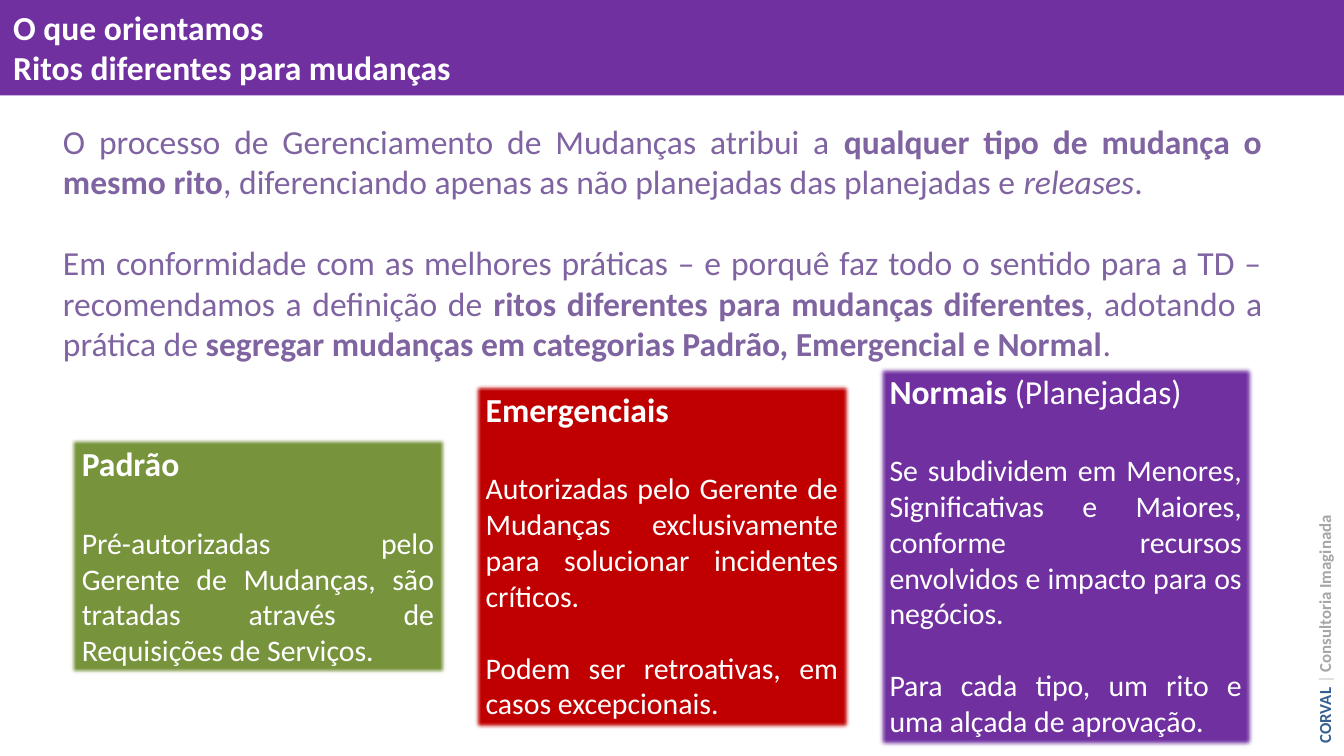
import lxml.etree
import pptx
import pptx.dml.color
import pptx.enum.shapes
import pptx.enum.text
import pptx.oxml.ns
import pptx.util

RGBColor = pptx.dml.color.RGBColor
WHITE = RGBColor(0xFF, 0xFF, 0xFF)
PURPLE = RGBColor(0x70, 0x30, 0xA0)
LILAC = RGBColor(0x80, 0x64, 0xA2)
GREEN = RGBColor(0x77, 0x93, 0x3C)
RED = RGBColor(0xC0, 0x00, 0x00)
NAVY = RGBColor(0x37, 0x60, 0x92)
PALE_GRAY = RGBColor(0xD9, 0xD9, 0xD9)
GRAY = RGBColor(0xA6, 0xA6, 0xA6)

WIDTH = 10
HEIGHT = WIDTH * 9 / 16
FONT = "Calibri"
LINE = 1.21
CARD_LEFT, CARD_STEP, CARD_WIDTH, CARD_MIDDLE = 0.51, 3.005, 2.82, 4.14
SOFT_EDGE = pptx.util.Pt(2.5)
JUSTIFY = pptx.enum.text.PP_ALIGN.JUSTIFY
LEFT = pptx.enum.text.PP_ALIGN.LEFT

CARDS = [
    (GREEN, 1.78, [("Padrão", "b")],
     ["Pré-autorizadas pelo Gerente de Mudanças, são tratadas através de "
      "Requisições de Serviços."]),
    (RED, 2.59, [("Emergenciais", "b")],
     ["Autorizadas pelo Gerente de Mudanças exclusivamente para solucionar "
      "incidentes críticos. ",
      "Podem ser retroativas, em casos excepcionais."]),
    (PURPLE, 2.86, [("Normais", "b"), (" (Planejadas)", "")],
     ["Se subdividem em Menores, Significativas e Maiores, conforme recursos "
      "envolvidos e impacto para os negócios.",
      "Para cada tipo, um rito e uma alçada de aprovação."]),
]

INTRO = [
    [("O processo de Gerenciamento de Mudanças atribui a ", ""),
     ("qualquer tipo de mudança o mesmo rito", "b"),
     (", diferenciando apenas as não planejadas das planejadas e ", ""),
     ("releases", "i"), (".", "")],
    [("Em conformidade com as melhores práticas – e porquê faz todo o sentido "
      "para a TD – recomendamos a definição de ", ""),
     ("ritos diferentes para mudanças diferentes", "b"),
     (", adotando a prática de ", ""),
     ("segregar mudanças em categorias Padrão, Emergencial e Normal", "b"),
     (".", "")],
]


def inches(*lengths):
    return [pptx.util.Inches(length) for length in lengths]


def prepare_frame(frame, anchor):
    frame.word_wrap = True
    frame.auto_size = pptx.enum.text.MSO_AUTO_SIZE.SHAPE_TO_FIT_TEXT
    frame.vertical_anchor = anchor
    return frame


def add_text(slide, left, top, width, height):
    return slide.shapes.add_textbox(*inches(left, top, width, height))


def add_block(slide, left, top, width, height, fill):
    block = slide.shapes.add_shape(
        pptx.enum.shapes.MSO_SHAPE.RECTANGLE, *inches(left, top, width, height))
    block.shadow.inherit = False
    block.fill.solid()
    block.fill.fore_color.rgb = fill
    block.line.fill.background()
    return block


def soften_edges(block):
    qn = pptx.oxml.ns.qn
    effects = block._element.spPr.find(qn("a:effectLst"))
    lxml.etree.SubElement(effects, qn("a:softEdge"), rad=str(int(SOFT_EDGE)))


def write_paragraph(frame, index, pieces, size, color, align=LEFT, gap=0):
    paragraph = frame.paragraphs[0] if index == 0 else frame.add_paragraph()
    paragraph.alignment = align
    if gap:
        paragraph.space_before = pptx.util.Pt(gap)
    for words, style, *own_color in pieces:
        run = paragraph.add_run()
        run.text = words
        run.font.name = FONT
        run.font.size = pptx.util.Pt(size)
        run.font.bold = "b" in style
        run.font.italic = "i" in style
        run.font.color.rgb = own_color[0] if own_color else color


def add_header(slide):
    header = add_block(slide, 0, 0, WIDTH, 0.71, PURPLE)
    frame = prepare_frame(header.text_frame, pptx.enum.text.MSO_ANCHOR.TOP)
    for index, title in enumerate(["O que orientamos", "Ritos diferentes para mudanças"]):
        write_paragraph(frame, index, [(title, "b")], 18, WHITE)


def add_signature(slide):
    signature = add_text(slide, 8.89, 4.54, 1.93, 0.25)
    signature.rotation = 270
    frame = prepare_frame(signature.text_frame, pptx.enum.text.MSO_ANCHOR.TOP)
    pieces = [("CORVAL ", "b", NAVY), ("| ", "b", PALE_GRAY),
              ("Consultoria Imaginada", "b", GRAY)]
    write_paragraph(frame, 0, pieces, 9, GRAY)


def add_intro(slide):
    intro = add_text(slide, 0.37, 0.85, 9.12, 1.92)
    frame = prepare_frame(intro.text_frame, pptx.enum.text.MSO_ANCHOR.TOP)
    for index, pieces in enumerate(INTRO):
        write_paragraph(frame, index, pieces, 18, LILAC, JUSTIFY, index * 18 * LINE)


def add_card(slide, column, fill, height, heading, details):
    card = add_block(slide, CARD_LEFT + column * CARD_STEP,
                     CARD_MIDDLE - height / 2, CARD_WIDTH, height, fill)
    soften_edges(card)
    frame = prepare_frame(card.text_frame, pptx.enum.text.MSO_ANCHOR.TOP)
    write_paragraph(frame, 0, heading, 18, WHITE, JUSTIFY)
    for index, detail in enumerate(details, start=1):
        gap = (18 if index == 1 else 16) * LINE
        write_paragraph(frame, index, [(detail, "")], 16, WHITE, JUSTIFY, gap)


def main():
    deck = pptx.Presentation()
    deck.slide_width, deck.slide_height = inches(WIDTH, HEIGHT)
    slide = deck.slides.add_slide(deck.slide_layouts[6])
    slide.background.fill.solid()
    slide.background.fill.fore_color.rgb = WHITE
    add_header(slide)
    add_signature(slide)
    add_intro(slide)
    for column, card in enumerate(CARDS):
        add_card(slide, column, *card)
    deck.save("out.pptx")


if __name__ == "__main__":
    main()
